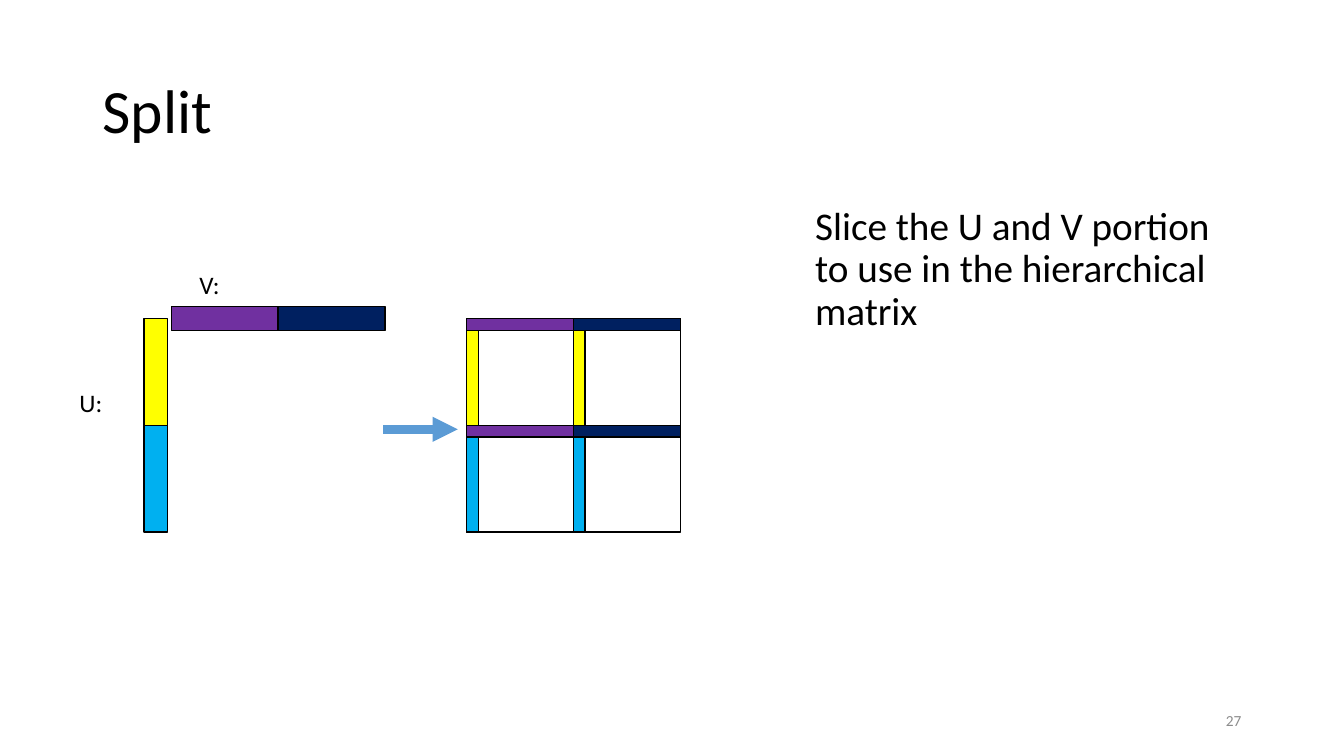
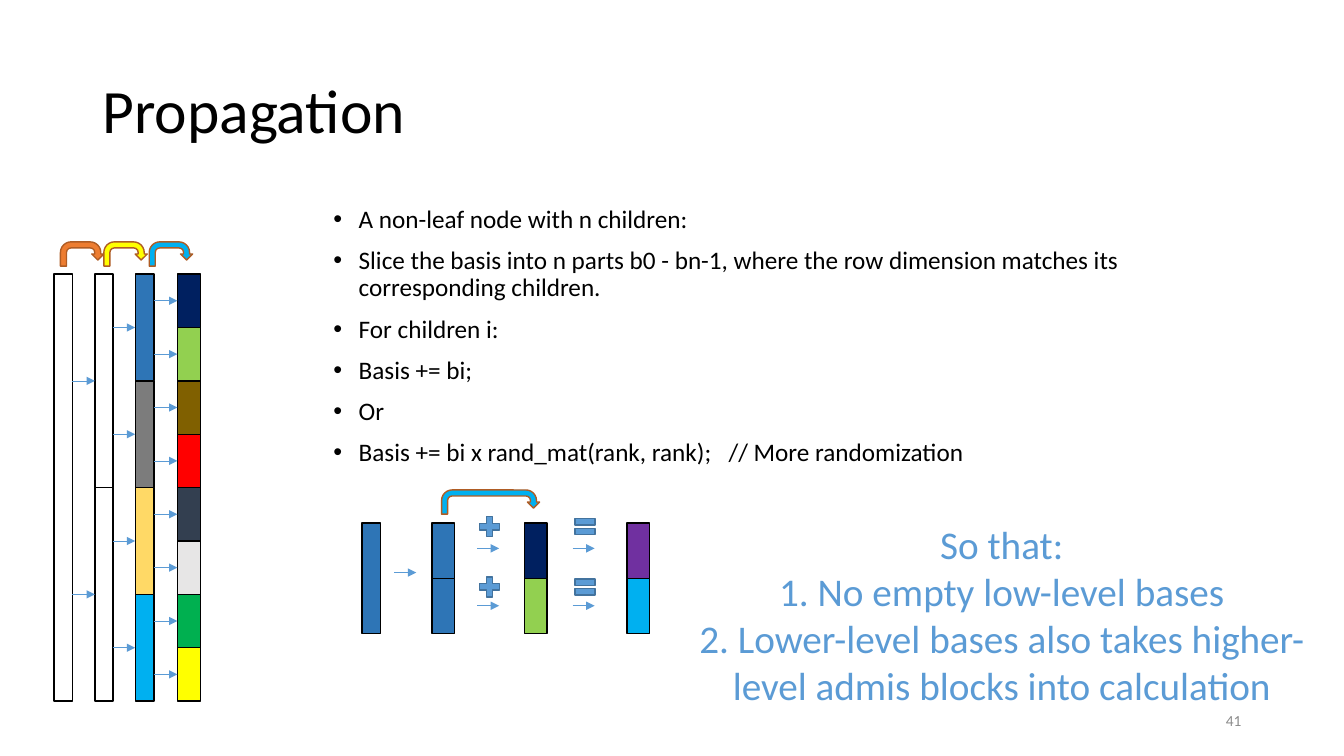
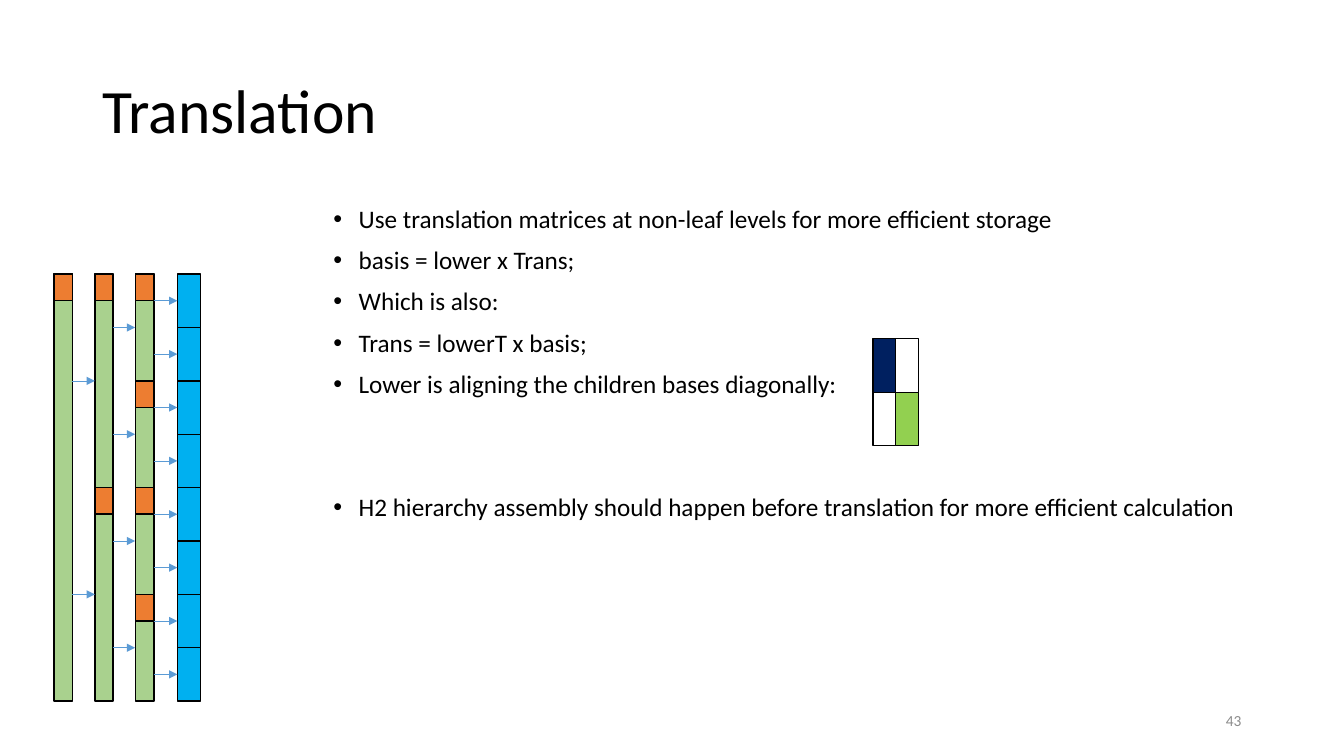
from lxml.etree import SubElement
from pptx import Presentation
from pptx.dml.color import RGBColor
from pptx.enum.shapes import MSO_CONNECTOR, MSO_SHAPE
from pptx.enum.text import MSO_ANCHOR, MSO_AUTO_SIZE, PP_ALIGN
from pptx.oxml.ns import qn
from pptx.util import Pt

color = RGBColor.from_string
FONT = "Calibri"
BLACK, WHITE, GRAY = "000000", "FFFFFF", "8C8C8C"
BLUE, SKY, NAVY, STEEL = "5B9BD5", "00B0F0", "002060", "2E75B6"
PURPLE, YELLOW, ORANGE, LIME, SAGE = "7030A0", "FFFF00", "ED7D31", "92D050", "A9D18E"


def add_block(slide, left, top, width, height, fill, line=BLACK, kind=MSO_SHAPE.RECTANGLE):
    shape = slide.shapes.add_shape(kind, Pt(left), Pt(top), Pt(width), Pt(height))
    shape.shadow.inherit = False
    shape.fill.solid()
    shape.fill.fore_color.rgb = color(fill)
    shape.line.color.rgb = color(line)
    shape.line.width = Pt(1)
    return shape


def add_arrow(slide, start, end, y, weight=0.5):
    connector = slide.shapes.add_connector(
        MSO_CONNECTOR.STRAIGHT, Pt(start), Pt(y), Pt(end), Pt(y))
    connector.line.color.rgb = color(BLUE)
    connector.line.width = Pt(weight)
    properties = connector.element.spPr
    SubElement(properties.find(qn("a:ln")), qn("a:tailEnd"), type="triangle")
    SubElement(properties, qn("a:effectLst"))
    return connector


presentation = Presentation()
presentation.slide_width = Pt(960)
presentation.slide_height = Pt(540)
layout = presentation.slide_layouts[1]

contents = [
    ("Split", "27", 575, 28, 0,
     ["Slice the U and V portion to use in the hierarchical matrix"]),
    ("Propagation", "41", 231, 18, 18,
     ["A non-leaf node with n children:",
      "Slice the basis into n parts b0 - bn-1, where the row dimension matches its "
      "corresponding children.",
      "For children i:",
      "Basis += bi;",
      "Or",
      "Basis += bi x rand_mat(rank, rank);"]),
    ("Translation", "43", 231, 18, 18,
     ["Use translation matrices at non-leaf levels for more efficient storage",
      "basis = lower x Trans;",
      "Which is also:",
      "Trans = lowerT x basis;",
      "Lower is aligning the children bases diagonally:",
      "H2 hierarchy assembly should happen before translation for more efficient calculation"]),
]

slides, bodies, texts = [], [], []
for title_text, number, body_left, body_size, indent, lines in contents:
    slide = presentation.slides.add_slide(layout)
    title, body = slide.placeholders
    title.left, title.top, title.width, title.height = Pt(66), Pt(28.8), Pt(828), Pt(104.4)
    body.left, body.top, body.width, body.height = Pt(body_left), Pt(144), Pt(894 - body_left), Pt(343)
    number_box = slide.shapes.add_textbox(Pt(678), Pt(500.5), Pt(216), Pt(28.8))
    texts += [
        (title, [title_text], 44, BLACK, PP_ALIGN.LEFT, MSO_ANCHOR.MIDDLE, 0.9, 0),
        (body, lines, body_size, BLACK, PP_ALIGN.LEFT, MSO_ANCHOR.TOP, 0.9, 10),
        (number_box, [number], 11, GRAY, PP_ALIGN.RIGHT, MSO_ANCHOR.MIDDLE, 1, 0),
    ]
    slides.append(slide)
    bodies.append((body, indent))

split, propagation, translation = slides

cell = 76.3
matrix_left, matrix_top = 333.4, 227.5
row_colors, column_colors = [YELLOW, SKY], [PURPLE, NAVY]
for index in range(2):
    add_block(split, 103, matrix_top + index * cell, 16.5, cell, row_colors[index])
    add_block(split, 122.4 + index * cell, 219, cell, 17, column_colors[index])
for row, row_color in enumerate(row_colors):
    for column, column_color in enumerate(column_colors):
        left, top = matrix_left + column * cell, matrix_top + row * cell
        add_block(split, left, top, cell, cell, WHITE)
        add_block(split, left, top + 8.5, 8.2, cell - 8.5, row_color)
        add_block(split, left, top, cell, 8.5, column_color)
add_arrow(split, 273.6, 327, 306.7, 6)

for label, left, top in [("U:", 49.7, 272.9), ("V:", 135.4, 188.6)]:
    label_box = split.shapes.add_textbox(Pt(left), Pt(top), Pt(37.4), Pt(28.8))
    texts.append((label_box, [label], 18, BLACK, PP_ALIGN.LEFT, MSO_ANCHOR.TOP, 1, 0))

tree_top, tree_height = 195.8, 305
level_lefts = [38.7, 67.8, 96.6, 126.7]
level_widths = [13, 13, 13.5, 16.5]
propagation_levels = [
    [WHITE],
    [WHITE] * 2,
    [STEEL, "7C7C7C", "FFD966", SKY],
    [NAVY, LIME, "806000", "FF0000", "333F50", "E7E6E6", "00B050", YELLOW],
]
translation_levels = [[SAGE], [SAGE] * 2, [SAGE] * 4, [SKY] * 8]
for slide, levels in [(propagation, propagation_levels), (translation, translation_levels)]:
    parent_right = None
    for left, width, fills in zip(level_lefts, level_widths, levels):
        height = tree_height / len(fills)
        for index, fill in enumerate(fills):
            top = tree_top + index * height
            node = add_block(slide, left, top, width, height, fill)
            if parent_right:
                arrow = add_arrow(slide, parent_right, left, top + height / 2)
                arrow.end_connect(node, 1)
            if fill == SAGE:
                add_block(slide, left, top, width, 19, ORANGE)
        parent_right = left + width

for left, top, width, fill in [(43.2, 172.8, 31, ORANGE), (74.2, 172.8, 31, YELLOW),
                               (106.6, 172.8, 31, SKY), (315.4, 350, 70, SKY)]:
    add_block(propagation, left, top, width, 17.3, fill, "AF5C24", MSO_SHAPE.U_TURN_ARROW)

basis_top, part_height = 373.7, 39.5
add_block(propagation, 258.5, basis_top, 13.5, 2 * part_height, STEEL)
add_arrow(propagation, 281.5, 297.4, 409)
for left, fills in [(308.6, [STEEL, STEEL]), (374.5, [NAVY, LIME]), (448, [PURPLE, SKY])]:
    for row, fill in enumerate(fills):
        add_block(propagation, left, basis_top + row * part_height, 16.2, part_height, fill)
for left, kind in [(340, MSO_SHAPE.MATH_PLUS), (408.2, MSO_SHAPE.MATH_EQUAL)]:
    for row in range(2):
        add_block(propagation, left, 366.5 + row * 43, 19.5, 19.5, BLUE, "43739E", kind)
        add_arrow(propagation, left + 0.8, left + 16.5, 391.7 + row * 41)

conclusion = propagation.shapes.add_textbox(Pt(489), Pt(368), Pt(453), Pt(143))
conclusion_lines = [
    "So that:",
    "1. No empty low-level bases",
    "2. Lower-level bases also takes higher-",
    "level admis blocks into calculation",
]
texts.append((conclusion, conclusion_lines, 28, BLUE, PP_ALIGN.CENTER, MSO_ANCHOR.TOP, 1, 0))

for row, fills in enumerate([[NAVY, WHITE], [WHITE, LIME]]):
    for column, fill in enumerate(fills):
        add_block(translation, 623.5 + column * 16.3, 242 + row * 38.2, 16.3, 38.2, fill)

for shape, lines, size, text_color, alignment, anchor, line_spacing, space_before in texts:
    frame = shape.text_frame
    frame.word_wrap = shape is not conclusion
    frame.auto_size = MSO_AUTO_SIZE.NONE
    frame.vertical_anchor = anchor
    for index, line in enumerate(lines):
        paragraph = frame.add_paragraph() if index else frame.paragraphs[0]
        paragraph.alignment = alignment
        paragraph.line_spacing = line_spacing
        paragraph.space_before = Pt(space_before)
        pieces = [line]
        if line.startswith("Basis += bi x"):
            pieces += [" ", "// More randomization"]
        for piece in pieces:
            run = paragraph.add_run()
            run.text = piece
            run.font.name = FONT
            run.font.size = Pt(size)
            run.font.color.rgb = color(text_color)
            if piece == " ":
                run.font._element.set("spc", "800")

for body, indent in bodies:
    for paragraph in body.text_frame.paragraphs:
        properties = paragraph._p.get_or_add_pPr()
        properties.set("marL", str(Pt(indent)))
        properties.set("indent", str(-Pt(indent)))
        if not indent:
            SubElement(properties, qn("a:buNone"))
translation.placeholders[1].text_frame.paragraphs[-1].space_before = Pt(68.7)

presentation.save("out.pptx")
